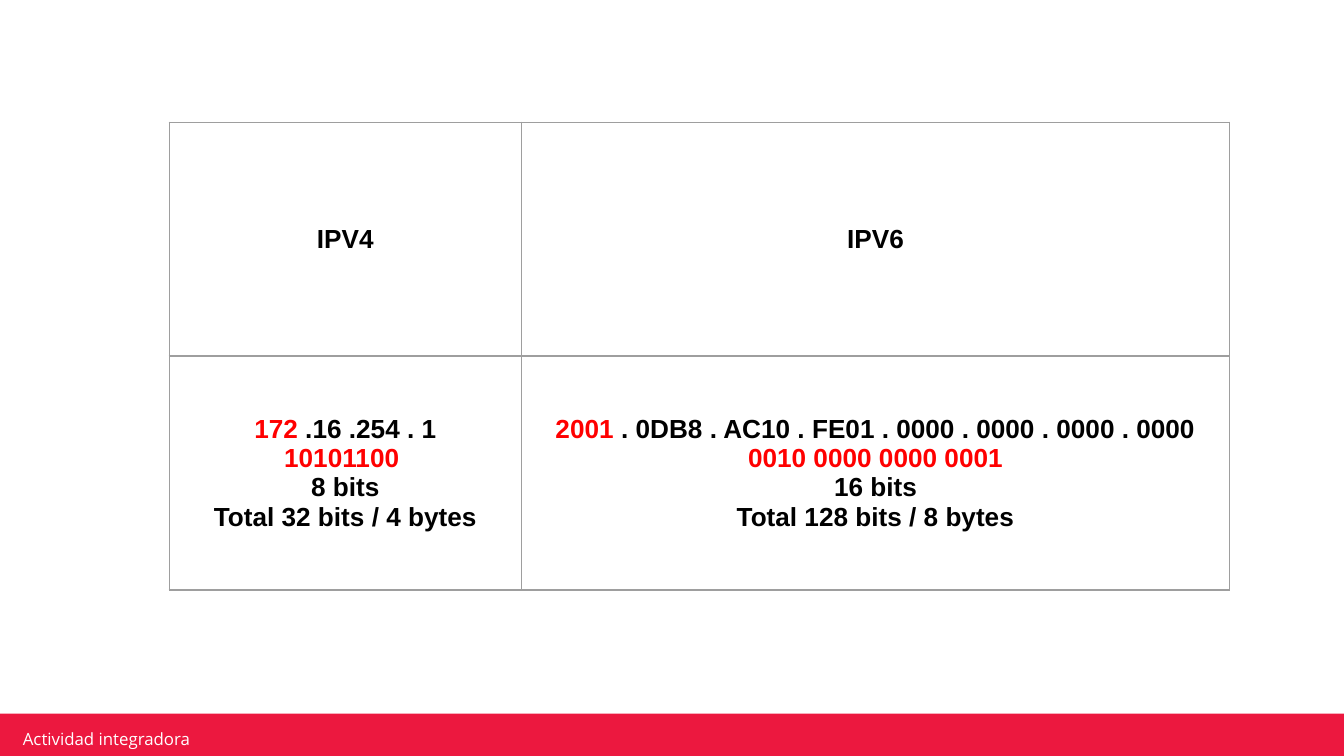
from lxml.etree import SubElement
from pptx import Presentation
from pptx.dml.color import RGBColor
from pptx.enum.shapes import MSO_SHAPE
from pptx.enum.text import MSO_ANCHOR, PP_ALIGN
from pptx.oxml.ns import qn
from pptx.util import Inches, Pt

BLACK, RED, WHITE, GRAY = "000000", "FF0000", "FFFFFF", "9E9E9E"
BAND = "EC183F"
WIDTH = 10
HEIGHT = WIDTH * 9 / 16
FOOTER = "Actividad integradora"
COLS = [2.62, 5.27]
ROWS = [1.74, 1.74]
CELLS = [
    [[[("IPV4", BLACK)]], [[("IPV6", BLACK)]]],
    [
        [
            [("172", RED), (" .16 .254 . 1", BLACK)],
            [("10101100 ", RED)],
            [("8 bits", BLACK)],
            [("Total 32 bits / 4 bytes", BLACK)],
        ],
        [
            [("2001", RED),
             (" . 0DB8 . AC10 . FE01 . 0000 . 0000 . 0000 . 0000", BLACK)],
            [("0010 0000 0000 0001", RED)],
            [("16 bits", BLACK)],
            [("Total 128 bits / 8 bytes", BLACK)],
        ],
    ],
]


def paint(item, color):
    item.rgb = RGBColor.from_string(color)


def pad(box, x, y):
    box.margin_left = box.margin_right = Inches(x)
    box.margin_top = box.margin_bottom = Inches(y)
    box.vertical_anchor = MSO_ANCHOR.MIDDLE


def border(cell):
    props = cell._tc.get_or_add_tcPr()
    for side in ("a:lnL", "a:lnR", "a:lnT", "a:lnB"):
        line = SubElement(props, qn(side), w=str(Pt(0.75)))
        fill = SubElement(line, qn("a:solidFill"))
        SubElement(fill, qn("a:srgbClr"), val=GRAY)


def write(cell, lines):
    pad(cell, 0.1, 0.1)
    border(cell)
    cell.fill.background()
    frame = cell.text_frame
    for i, line in enumerate(lines):
        para = frame.add_paragraph() if i else frame.paragraphs[0]
        para.alignment = PP_ALIGN.CENTER
        para.font.name = "Arial"
        para.font.size = Pt(14)
        para.font.bold = True
        for text, color in line:
            run = para.add_run()
            run.text = text
            paint(run.font.color, color)


def add_footer(slide):
    band = slide.shapes.add_shape(
        MSO_SHAPE.RECTANGLE, Inches(-0.02), Inches(5.31), Inches(10.03), Inches(0.36))
    band.shadow.inherit = False
    band.fill.solid()
    paint(band.fill.fore_color, BAND)
    band.line.fill.background()
    label = slide.shapes.add_textbox(
        Inches(0.12), Inches(5.42), Inches(2.39), Inches(0.15))
    frame = label.text_frame
    frame.word_wrap = True
    pad(frame, 0.05, 0.02)
    para = frame.paragraphs[0]
    para.text = FOOTER
    para.font.name = "Open Sans"
    para.font.size = Pt(9)
    paint(para.font.color, WHITE)


def add_grid(slide):
    grid = slide.shapes.add_table(
        len(ROWS), len(COLS), Inches(1.26), Inches(0.91),
        Inches(sum(COLS)), Inches(sum(ROWS))).table
    grid.first_row = grid.horz_banding = False
    for col, width in zip(grid.columns, COLS):
        col.width = Inches(width)
    for row, height, texts in zip(grid.rows, ROWS, CELLS):
        row.height = Inches(height)
        for cell, lines in zip(row.cells, texts):
            write(cell, lines)


def main():
    deck = Presentation()
    deck.slide_width, deck.slide_height = Inches(WIDTH), Inches(HEIGHT)
    slide = deck.slides.add_slide(deck.slide_layouts[6])
    slide.background.fill.solid()
    paint(slide.background.fill.fore_color, WHITE)
    add_footer(slide)
    add_grid(slide)
    deck.save("out.pptx")


if __name__ == "__main__":
    main()
